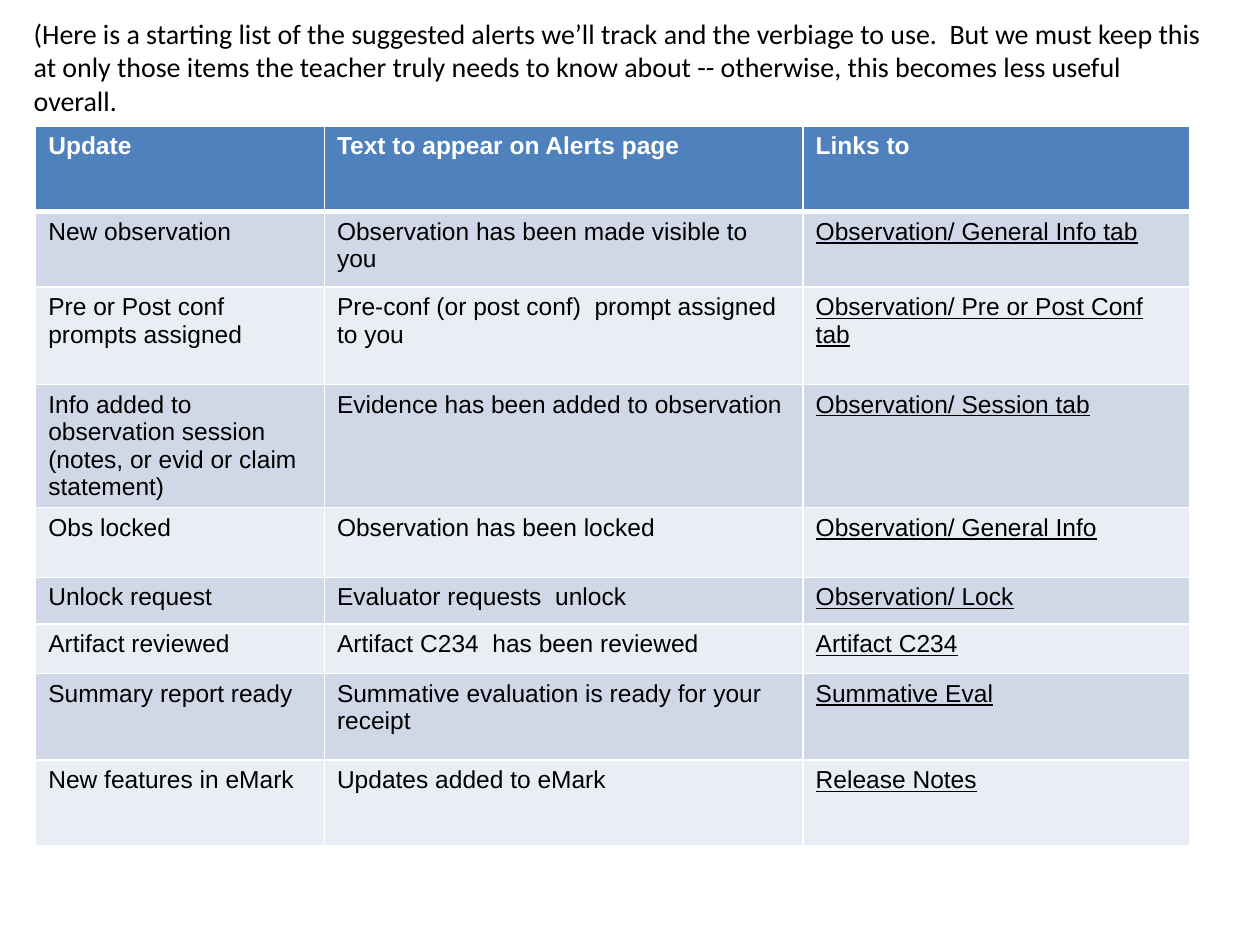
import pptx
import pptx.dml.color
import pptx.oxml
import pptx.oxml.ns
import pptx.util
from pptx.util import Cm

COLOURS = {
    "text": "000000",
    "white": "FFFFFF",
    "header": "4F81BD",
    "odd_row": "D0D8E8",
    "even_row": "E9EDF4",
}

INTRO = (
    "(Here is a starting list of the suggested alerts we’ll track and the verbiage to use.  "
    "But we must keep this at only those items the teacher truly needs to know about -- "
    "otherwise, this becomes less useful  overall."
)

COLUMN_WIDTHS = (5.82, 9.65, 7.8)

# Row height in centimetres, followed by the three cell texts.
ALERTS = [
    (1.73, "Update", "Text to appear on Alerts page", "Links to"),
    (1.52, "New observation", "Observation has been made visible to you",
     "Observation/ General Info tab"),
    (1.96, "Pre or Post conf prompts assigned",
     "Pre-conf (or post conf)  prompt assigned to you",
     "Observation/ Pre or Post Conf tab"),
    (2.48, "Info added to observation session (notes, or evid or claim statement)",
     "Evidence has been added to observation", "Observation/ Session tab"),
    (1.41, "Obs locked", "Observation has been locked", "Observation/ General Info"),
    (0.94, "Unlock request", "Evaluator requests  unlock", "Observation/ Lock"),
    (1.0, "Artifact reviewed", "Artifact C234  has been reviewed", "Artifact C234"),
    (1.74, "Summary report ready", "Summative evaluation is ready for your receipt",
     "Summative Eval"),
    (1.73, "New features in eMark", "Updates added to eMark", "Release Notes"),
]


def rgb(name):
    return pptx.dml.color.RGBColor.from_string(COLOURS[name])


class SlideBuilder:
    """Holds the current slide and the text sizes and fonts used on it."""

    intro_style = ("Calibri", 16)
    table_style = ("Arial", 14)

    def __init__(self, slide):
        self.slide = slide

    def add_run(self, para, text, style, colour="text", bold=False, underline=False):
        span = para.add_run()
        span.text = text
        font = span.font
        font.name, size = style
        font.size = pptx.util.Pt(size)
        font.bold = bold
        font.underline = underline
        font.color.rgb = rgb(colour)

    def add_intro(self, text, left, top, width, height):
        box = self.slide.shapes.add_textbox(Cm(left), Cm(top), Cm(width), Cm(height))
        box.text_frame.word_wrap = True
        self.add_run(box.text_frame.paragraphs[0], text, self.intro_style)

    def add_borders(self, cell, top, bottom):
        """Draw white cell borders; the schema wants them ahead of the fill."""
        properties = cell._tc.get_or_add_tcPr()
        sides = (("lnL", 1), ("lnR", 1), ("lnT", top), ("lnB", bottom))
        for position, (side, points) in enumerate(sides):
            line = pptx.oxml.parse_xml(
                f'<a:{side} {pptx.oxml.ns.nsdecls("a")} w="{pptx.util.Pt(points)}">'
                f'<a:solidFill><a:srgbClr val="{COLOURS["white"]}"/></a:solidFill>'
                f"</a:{side}>"
            )
            properties.insert(position, line)

    def add_alert_table(self, rows, widths, left, top):
        height = sum(row[0] for row in rows)
        table = self.slide.shapes.add_table(
            len(rows), len(widths), Cm(left), Cm(top), Cm(sum(widths)), Cm(height)
        ).table
        for column, width in zip(table.columns, widths):
            column.width = Cm(width)
        for row_index, (row_height, *texts) in enumerate(rows):
            table.rows[row_index].height = Cm(row_height)
            is_header = row_index == 0
            banding = "odd_row" if row_index % 2 else "even_row"
            for column_index, text in enumerate(texts):
                cell = table.cell(row_index, column_index)
                cell.fill.solid()
                cell.fill.fore_color.rgb = rgb("header" if is_header else banding)
                self.add_borders(cell, top=3 if row_index == 1 else 1,
                                 bottom=3 if is_header else 1)
                is_link = column_index == len(texts) - 1 and not is_header
                self.add_run(cell.text_frame.paragraphs[0], text, self.table_style,
                             colour="white" if is_header else "text",
                             bold=is_header, underline=is_link)


def main():
    deck = pptx.Presentation()
    deck.slide_width, deck.slide_height = Cm(25.4), Cm(19.05)
    page = SlideBuilder(deck.slides.add_slide(deck.slide_layouts[6]))
    page.add_alert_table(ALERTS, COLUMN_WIDTHS, left=0.72, top=2.54)
    page.add_intro(INTRO, left=0.43, top=0.2, width=24.13, height=2.31)
    deck.save("out.pptx")


if __name__ == "__main__":
    main()
